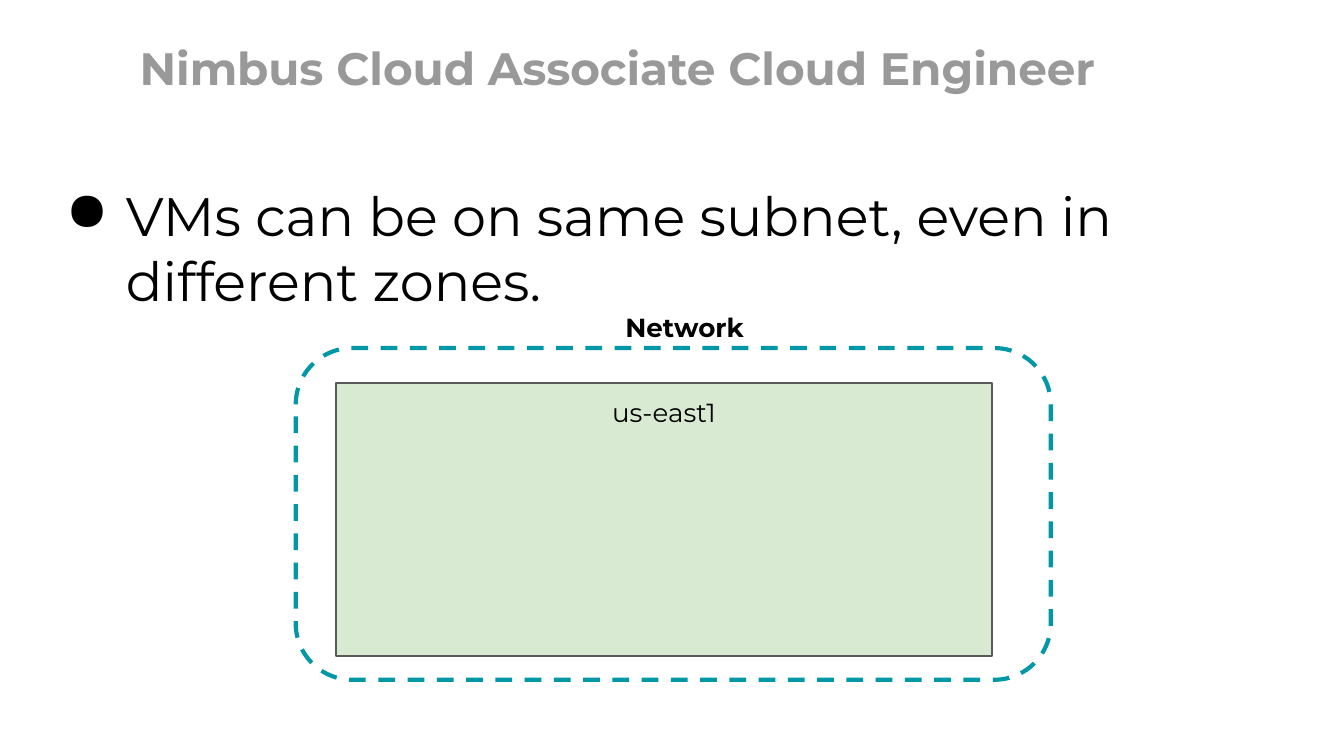
from dataclasses import dataclass

import pptx
import pptx.dml.color
import pptx.enum.dml
import pptx.enum.shapes
import pptx.enum.text
import pptx.oxml
import pptx.oxml.ns
import pptx.util
from pptx.util import Cm

Shapes = pptx.enum.shapes.MSO_SHAPE
Align = pptx.enum.text.PP_ALIGN
Anchor = pptx.enum.text.MSO_ANCHOR


@dataclass(frozen=True)
class Theme:
    font: str = "Montserrat"
    ink: str = "000000"
    muted: str = "999999"
    network_line: str = "0097A7"
    region_fill: str = "D9EAD3"
    region_line: str = "595959"
    title_size: float = 24.3
    body_size: float = 29
    label_size: float = 14
    inset: float = 0.25


@dataclass(frozen=True)
class Area:
    """A rectangle on the page, in centimetres."""
    left: float
    top: float
    width: float
    height: float

    def lengths(self) -> tuple:
        return Cm(self.left), Cm(self.top), Cm(self.width), Cm(self.height)


@dataclass(frozen=True)
class Label:
    text: str
    size: float
    color: str
    bold: bool = False
    align: Align = Align.LEFT
    anchor: Anchor = Anchor.TOP


THEME = Theme()


def rgb(color: str) -> pptx.dml.color.RGBColor:
    return pptx.dml.color.RGBColor.from_string(color)


def write(shape, label: Label):
    """Put the label in the shape and return its paragraph."""
    frame = shape.text_frame
    frame.word_wrap = True
    frame.vertical_anchor = label.anchor
    frame.margin_left = frame.margin_right = Cm(THEME.inset)
    frame.margin_top = frame.margin_bottom = Cm(THEME.inset)
    para = frame.paragraphs[0]
    para.text = label.text
    para.alignment = label.align
    para.font.name = THEME.font
    para.font.size = pptx.util.Pt(label.size)
    para.font.bold = label.bold
    para.font.color.rgb = rgb(label.color)
    return para


def add_text(page, area: Area, label: Label):
    return write(page.shapes.add_textbox(*area.lengths()), label)


def add_bullet(para, indent: float, hanging: float) -> None:
    properties = para._p.get_or_add_pPr()
    properties.set("marL", str(Cm(indent)))
    properties.set("indent", str(-Cm(hanging)))
    bullet = pptx.oxml.parse_xml(
        f'<a:buChar {pptx.oxml.ns.nsdecls("a")} char="●"/>')
    properties.insert_element_before(
        bullet, "a:tabLst", "a:defRPr", "a:extLst")


def add_outlined(page, kind: Shapes, area: Area, color: str, weight: float):
    """Add an unfilled, shadowless shape."""
    shape = page.shapes.add_shape(kind, *area.lengths())
    shape.shadow.inherit = False
    shape.fill.background()
    shape.line.color.rgb = rgb(color)
    shape.line.width = pptx.util.Pt(weight)
    return shape


def main() -> None:
    deck = pptx.Presentation()
    deck.slide_width, deck.slide_height = Cm(25.4), Cm(14.29)
    page = deck.slides.add_slide(deck.slide_layouts[6])

    body = add_text(page, Area(0.86, 3.2, 24.13, 9.5),
                    Label("VMs can be on same subnet, even in different zones.",
                          THEME.body_size, THEME.ink))
    add_bullet(body, indent=1.27, hanging=1.14)
    add_text(page, Area(2.39, 0.43, 21.64, 1.6),
             Label("Nimbus Cloud Associate Cloud Engineer", THEME.title_size,
                   THEME.muted, bold=True, anchor=Anchor.BOTTOM))

    network = add_outlined(page, Shapes.ROUNDED_RECTANGLE,
                           Area(5.59, 6.58, 14.27, 6.27),
                           THEME.network_line, 2.25)
    network.line.dash_style = pptx.enum.dml.MSO_LINE.DASH
    network.adjustments[0] = 0.17
    add_text(page, Area(10.87, 5.64, 4.14, 1.12),
             Label("Network", THEME.label_size, THEME.ink, bold=True,
                   align=Align.CENTER))

    region = add_outlined(page, Shapes.RECTANGLE,
                          Area(6.35, 7.24, 12.4, 5.16),
                          THEME.region_line, 1.5)
    region.fill.solid()
    region.fill.fore_color.rgb = rgb(THEME.region_fill)
    write(region, Label("us-east1", THEME.label_size, THEME.ink,
                        align=Align.CENTER))

    deck.save("out.pptx")


if __name__ == "__main__":
    main()
